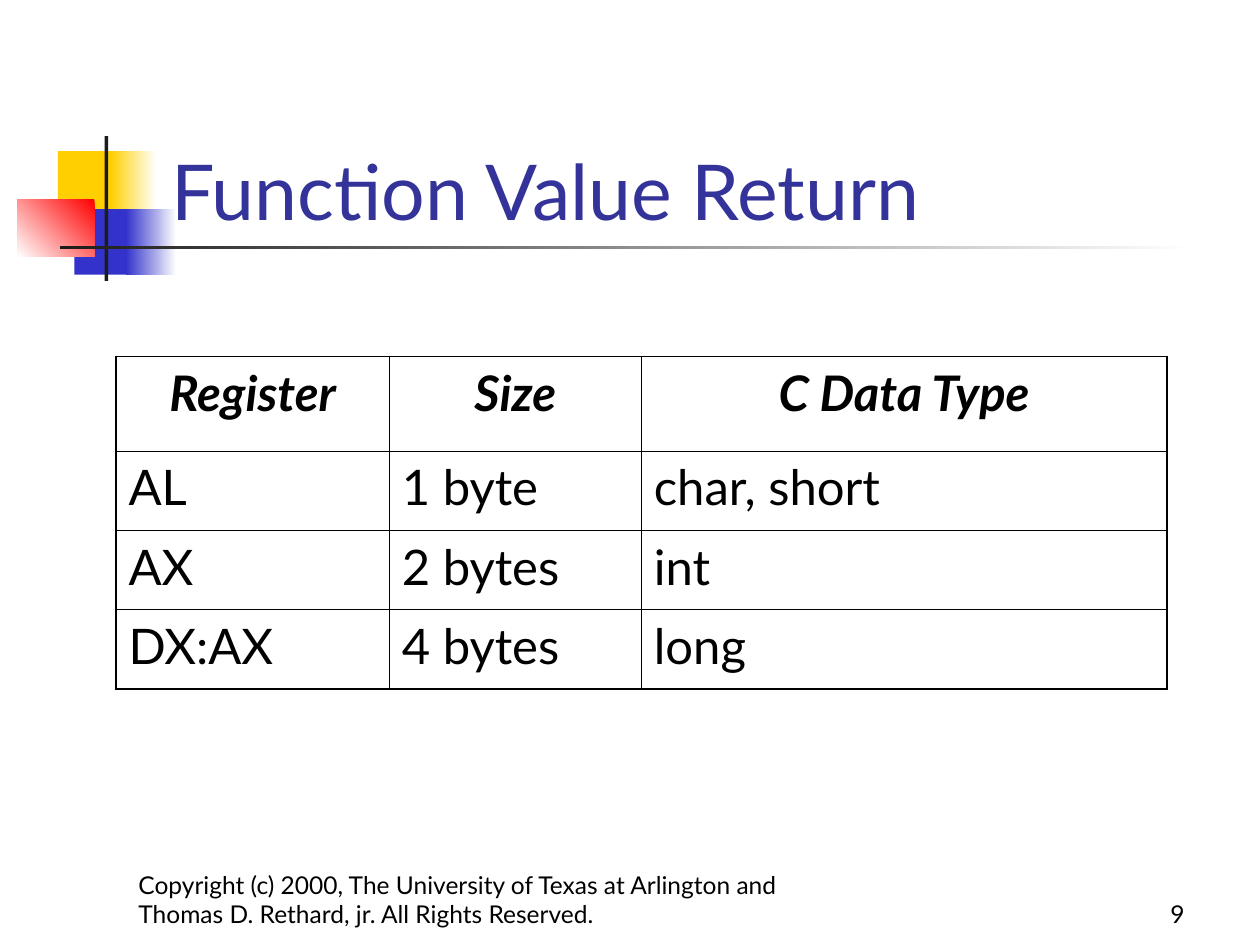
from lxml.etree import SubElement
from pptx import Presentation
from pptx.dml.color import RGBColor
from pptx.enum.shapes import MSO_SHAPE
from pptx.enum.text import MSO_ANCHOR, MSO_AUTO_SIZE, PP_ALIGN
from pptx.oxml.ns import qn
from pptx.util import Inches, Pt

COLORS = {
    "white": "FFFFFF", "black": "000000", "title": "333399", "yellow": "FFCF01",
    "blue": "3333CC", "red": "FF0000", "charcoal": "1C1C1C",
}
FONT = "Lato"
ROWS = [
    ["Register", "Size", "C Data Type"],
    ["AL", "1 byte", "char, short"],
    ["AX", "2 bytes", "int"],
    ["DX:AX", "4 bytes", "long"],
]
COLUMN_WIDTHS = [2.17, 2, 4.17]
ROW_HEIGHTS = [0.75, 0.63, 0.63, 0.63]
OUTER_LINE, INNER_LINE = Pt(1.08), Pt(0.45)
COPYRIGHT = ("Copyright (c) 2000, The University of Texas at Arlington and "
             "Thomas D. Rethard, jr. All Rights Reserved.")


def rgb(name):
    return RGBColor.from_string(COLORS[name])


def write(frame, text, size, color="black", bold=False, italic=False,
          align=PP_ALIGN.LEFT):
    para = frame.paragraphs[0]
    para.alignment = align
    span = para.add_run()
    span.text = text
    font = span.font
    font.name, font.size, font.bold, font.italic = FONT, Pt(size), bold, italic
    font.color.rgb = rgb(color)


def place(shape, box):
    shape.left, shape.top, shape.width, shape.height = map(Inches, box)


def add_block(page, box, start, end=None, angle=180):
    """Draw a plain rectangle, or one fading from start to end."""
    block = page.shapes.add_shape(MSO_SHAPE.RECTANGLE, *map(Inches, box))
    block.shadow.inherit = False
    block.line.fill.background()
    if end is None:
        block.fill.solid()
        block.fill.fore_color.rgb = rgb(start)
        return
    block.fill.gradient()
    block.fill.gradient_angle = angle
    for stop, color in zip(block.fill.gradient_stops, (start, end)):
        stop.color.rgb = rgb(color)


def add_ornament(page, box):
    left, top = box
    blocks = [
        ((0.32, 0.12, 0.48, 0.52), "yellow"),
        ((0.74, 0.12, 0.36, 0.52), "white", "yellow"),
        ((0.45, 0.58, 0.46, 0.52), "blue"),
        ((0.86, 0.58, 0.4, 0.52), "white", "blue"),
        ((0, 0.5, 0.61, 0.46), "red", "white", 225),
        ((0.69, 0, 0.03, 1.15), "charcoal"),
        ((0.34, 0.87, 9, 0.03), "white", "charcoal"),
    ]
    for (x, y, width, height), *colors in blocks:
        add_block(page, (left + x, top + y, width, height), *colors)


def add_title(page, box):
    title = page.shapes.title
    place(title, box)
    frame = title.text_frame
    frame.auto_size = MSO_AUTO_SIZE.NONE
    frame.vertical_anchor = MSO_ANCHOR.BOTTOM
    write(frame, "Function Value Return", 44, color="title")


def set_border(cell, side, width):
    properties = cell._tc.get_or_add_tcPr()
    line = SubElement(properties, qn(f"a:ln{side}"), w=str(width))
    fill = SubElement(line, qn("a:solidFill"))
    SubElement(fill, qn("a:srgbClr"), val=COLORS["black"])


def add_register_table(page, box):
    row_count, column_count = len(ROWS), len(COLUMN_WIDTHS)
    table = page.shapes.add_table(row_count, column_count, *map(Inches, box)).table
    for column, width in zip(table.columns, COLUMN_WIDTHS):
        column.width = Inches(width)
    for row, height in zip(table.rows, ROW_HEIGHTS):
        row.height = Inches(height)
    for i, texts in enumerate(ROWS):
        for j, text in enumerate(texts):
            cell = table.cell(i, j)
            header = i == 0
            write(cell.text_frame, text, 28, bold=header, italic=header,
                  align=PP_ALIGN.CENTER if header else PP_ALIGN.LEFT)
            outer_sides = {"L": j == 0, "R": j == column_count - 1,
                           "T": header, "B": i == row_count - 1}
            for side, outer in outer_sides.items():
                set_border(cell, side, OUTER_LINE if outer else INNER_LINE)
            cell.fill.background()


def add_footer(page, box, text, align):
    frame = page.shapes.add_textbox(*map(Inches, box)).text_frame
    frame.word_wrap = True
    frame.vertical_anchor = MSO_ANCHOR.BOTTOM
    write(frame, text, 14, align=align)


def main():
    deck = Presentation()
    deck.slide_width, deck.slide_height = Inches(10), Inches(7.5)
    page = deck.slides.add_slide(deck.slide_layouts[5])
    page.background.fill.solid()
    page.background.fill.fore_color.rgb = rgb("white")

    # Heading
    add_ornament(page, (0.14, 1.08))
    add_title(page, (1.26, 0.67, 8.52, 1.25))

    # Return registers
    add_register_table(page, (0.92, 2.83, sum(COLUMN_WIDTHS), sum(ROW_HEIGHTS)))

    # Footer
    add_footer(page, (7.42, 6.92, 2.08, 0.5), "9", PP_ALIGN.RIGHT)
    add_footer(page, (1, 6.92, 5.42, 0.5), COPYRIGHT, PP_ALIGN.LEFT)

    deck.save("out.pptx")


if __name__ == "__main__":
    main()
